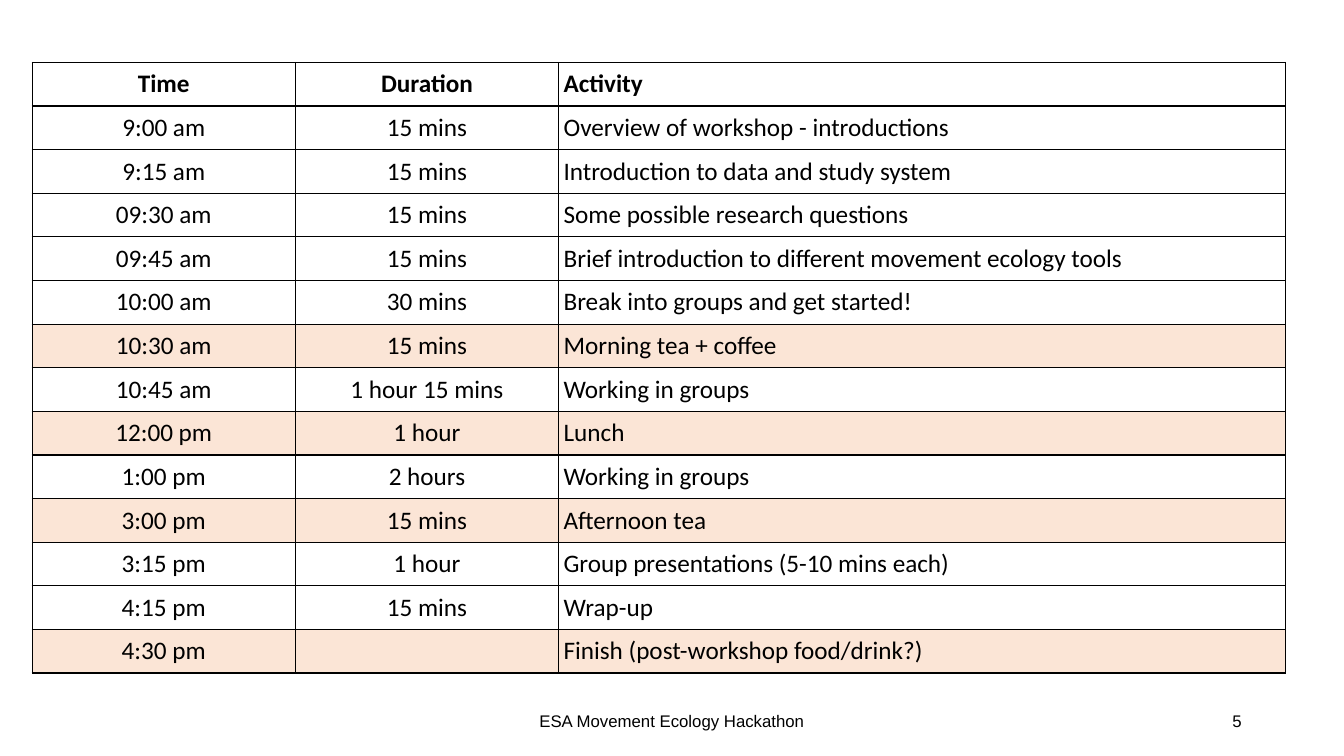
import pptx
import pptx.dml.color
import pptx.enum.text
import pptx.oxml
import pptx.oxml.ns
import pptx.util

Pt = pptx.util.Pt
ALIGN = pptx.enum.text.PP_ALIGN
MIDDLE = pptx.enum.text.MSO_ANCHOR.MIDDLE

BLACK = "000000"
BREAK_FILL = "FBE5D6"
COLUMN_WIDTHS = (188, 188, 519)
COLUMN_ALIGNMENTS = (ALIGN.CENTER, ALIGN.CENTER, ALIGN.LEFT)
ROW_HEIGHT = 31.17
CELL_MARGIN = 3.6

HEADER = ("Time", "Duration", "Activity")
SCHEDULE = [
    ("9:00 am", "15 mins", "Overview of workshop - introductions"),
    ("9:15 am", "15 mins", "Introduction to data and study system"),
    ("09:30 am", "15 mins", "Some possible research questions"),
    ("09:45 am", "15 mins", "Brief introduction to different movement ecology tools"),
    ("10:00 am", "30 mins", "Break into groups and get started!"),
    ("10:30 am", "15 mins", "Morning tea + coffee"),
    ("10:45 am", "1 hour 15 mins", "Working in groups"),
    ("12:00 pm", "1 hour", "Lunch"),
    ("1:00 pm", "2 hours", "Working in groups"),
    ("3:00 pm", "15 mins", "Afternoon tea"),
    ("3:15 pm", "1 hour", "Group presentations (5-10 mins each)"),
    ("4:15 pm", "15 mins", "Wrap-up"),
    ("4:30 pm", "", "Finish (post-workshop food/drink?)"),
]
SHADED_TIMES = {"10:30 am", "12:00 pm", "3:00 pm", "4:30 pm"}


def color(hex_string):
    return pptx.dml.color.RGBColor.from_string(hex_string)


def format_paragraph(paragraph, font_name, size, alignment, bold=False):
    paragraph.alignment = alignment
    paragraph.font.name = font_name
    paragraph.font.size = Pt(size)
    paragraph.font.bold = bold
    paragraph.font.color.rgb = color(BLACK)


def add_footer_text(slide, text, left, width, alignment):
    box = slide.shapes.add_textbox(Pt(left), Pt(500.4), Pt(width), Pt(28.8))
    frame = box.text_frame
    frame.word_wrap = True
    frame.vertical_anchor = MIDDLE
    frame.text = text
    format_paragraph(frame.paragraphs[0], "Arial", 12, alignment)


def add_borders(cell):
    properties = cell._tc.get_or_add_tcPr()
    for side in ("lnL", "lnR", "lnT", "lnB"):
        properties.append(pptx.oxml.parse_xml(
            f'<a:{side} {pptx.oxml.ns.nsdecls("a")} w="{Pt(1)}">'
            f'<a:solidFill><a:srgbClr val="{BLACK}"/></a:solidFill></a:{side}>'
        ))


def fill_cell(cell, text, alignment, bold, shaded):
    cell.text = text
    cell.vertical_anchor = MIDDLE
    cell.margin_left = cell.margin_right = Pt(CELL_MARGIN)
    cell.margin_top = cell.margin_bottom = Pt(CELL_MARGIN)
    format_paragraph(cell.text_frame.paragraphs[0], "Calibri", 18, alignment, bold)
    add_borders(cell)
    if shaded:
        cell.fill.solid()
        cell.fill.fore_color.rgb = color(BREAK_FILL)
    else:
        cell.fill.background()


def add_schedule(slide):
    rows = [HEADER] + SCHEDULE
    table = slide.shapes.add_table(
        len(rows), len(HEADER), Pt(23), Pt(44.6),
        Pt(sum(COLUMN_WIDTHS)), Pt(ROW_HEIGHT * len(rows)),
    ).table
    table.first_row = False
    table.horz_banding = False
    for column, width in zip(table.columns, COLUMN_WIDTHS):
        column.width = Pt(width)
    for row_index, texts in enumerate(rows):
        table.rows[row_index].height = Pt(ROW_HEIGHT)
        for column_index, text in enumerate(texts):
            fill_cell(
                table.cell(row_index, column_index), text,
                COLUMN_ALIGNMENTS[column_index],
                bold=row_index == 0, shaded=texts[0] in SHADED_TIMES,
            )


def main():
    presentation = pptx.Presentation()
    presentation.slide_width = Pt(960)
    presentation.slide_height = Pt(540)
    slide = presentation.slides.add_slide(presentation.slide_layouts[6])
    add_footer_text(slide, "ESA Movement Ecology Hackathon", 318, 324, ALIGN.CENTER)
    add_footer_text(slide, "5", 678, 216, ALIGN.RIGHT)
    add_schedule(slide)
    presentation.save("out.pptx")


if __name__ == "__main__":
    main()
